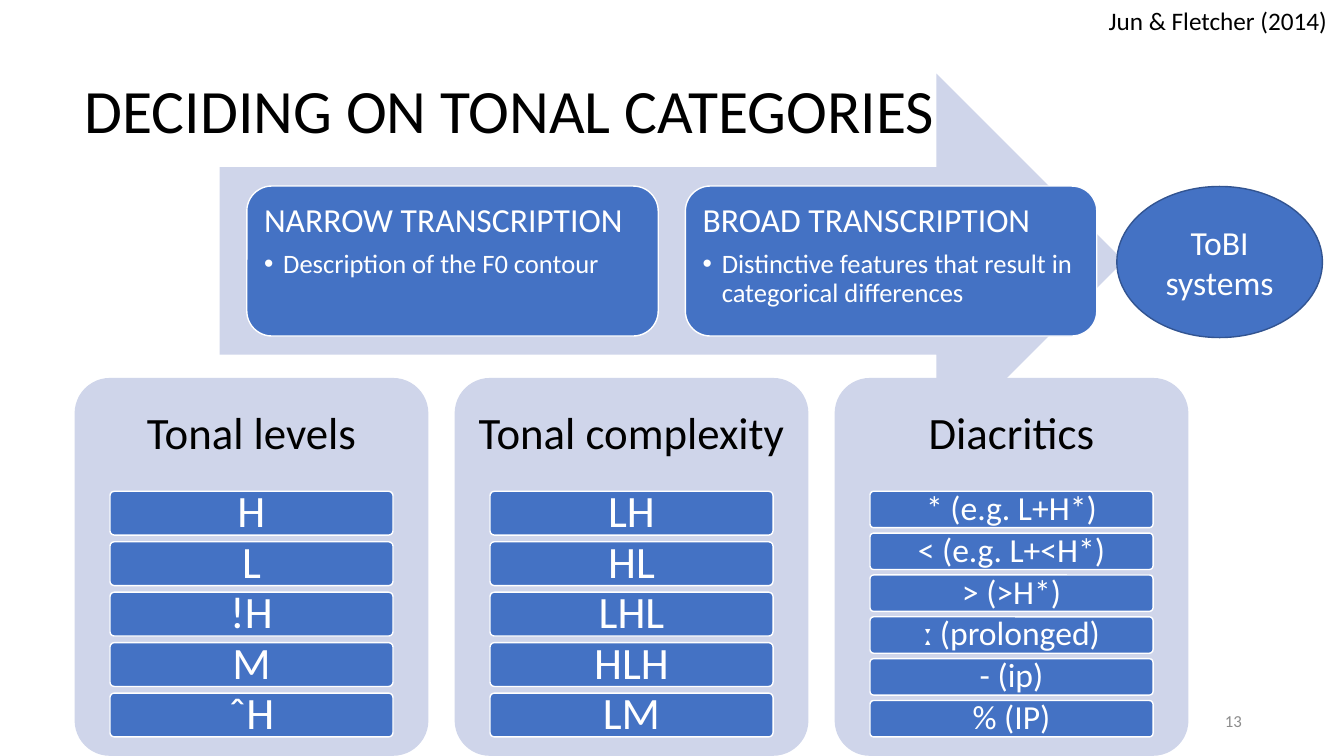
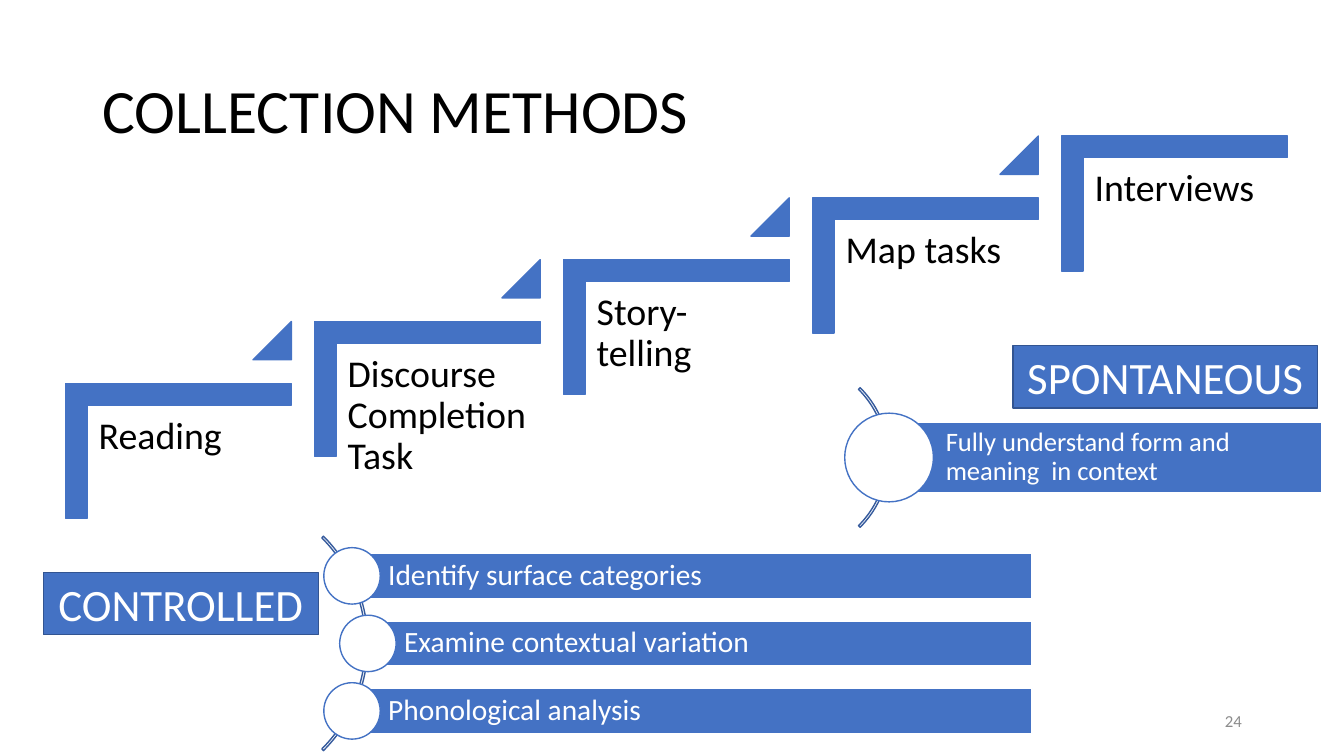
from dataclasses import dataclass
from math import sqrt

from lxml import etree
from pptx import Presentation
from pptx.dml.color import RGBColor
from pptx.enum.shapes import MSO_SHAPE
from pptx.enum.text import MSO_ANCHOR, PP_ALIGN
from pptx.oxml.ns import qn
from pptx.util import Inches, Pt

LEFT, CENTER, RIGHT = PP_ALIGN.LEFT, PP_ALIGN.CENTER, PP_ALIGN.RIGHT
TOP, MIDDLE = MSO_ANCHOR.TOP, MSO_ANCHOR.MIDDLE
RECTANGLE, ROUNDED = MSO_SHAPE.RECTANGLE, MSO_SHAPE.ROUNDED_RECTANGLE
ELLIPSE, ARROW = MSO_SHAPE.OVAL, MSO_SHAPE.RIGHT_ARROW
CORNER, TRIANGLE = MSO_SHAPE.CORNER, MSO_SHAPE.ISOSCELES_TRIANGLE
BLOCK_ARC = MSO_SHAPE.BLOCK_ARC

SLIDE_WIDTH, SLIDE_HEIGHT = Inches(13.33), Inches(7.5)
COLUMNS = 40
CELL = SLIDE_WIDTH / COLUMNS


@dataclass(frozen=True)
class Theme:
    font: str = "Calibri"
    black: str = "000000"
    white: str = "FFFFFF"
    gray: str = "8C8C8C"
    blue: str = "4472C4"
    pale: str = "CFD5EA"
    edge: str = "325491"
    arc: str = "365B9D"
    title: int = 44
    large: int = 32
    step: int = 27
    medium: int = 24
    row: int = 21
    small: int = 19
    citation: int = 18
    number: int = 12
    tight: float = 0.9


THEME = Theme()


@dataclass(frozen=True)
class Box:
    left: float
    top: float
    width: float
    height: float

    def within(self, left, top, width, height):
        return Box(self.left + left * self.width, self.top + top * self.height,
                   width * self.width, height * self.height)

    def split_columns(self, count, gap):
        width = (self.width - gap * (count - 1)) / count
        return [Box(self.left + index * (width + gap), self.top, width, self.height)
                for index in range(count)]

    def split_rows(self, count, gap_ratio):
        height = self.height / (count + gap_ratio * (count - 1))
        return [Box(self.left, self.top + index * height * (1 + gap_ratio),
                    self.width, height) for index in range(count)]

    def emu(self):
        return [round(length * CELL) for length in
                (self.left, self.top, self.width, self.height)]


def color(value):
    return RGBColor.from_string(value)


def add_bullet(para):
    properties = para._p.get_or_add_pPr()
    properties.set("marL", str(Inches(0.19)))
    properties.set("indent", str(-Inches(0.19)))
    etree.SubElement(properties, qn("a:buFont")).set("typeface", "Arial")
    etree.SubElement(properties, qn("a:buChar")).set("char", "•")


def style_para(para, size, tint, align=LEFT, spacing=1.0):
    para.alignment = align
    para.line_spacing = spacing
    para.font.name = THEME.font
    para.font.size = Pt(size)
    para.font.color.rgb = color(tint)


def write(shape, text, size, tint, align=LEFT, anchor=TOP, spacing=1.0,
          insets=(0.1, 0.05, 0.1, 0.05), wrap=True):
    frame = shape.text_frame
    frame.text = text
    frame.word_wrap = wrap
    frame.vertical_anchor = anchor
    (frame.margin_left, frame.margin_top,
     frame.margin_right, frame.margin_bottom) = map(Inches, insets)
    for para in frame.paragraphs:
        style_para(para, size, tint, align, spacing)
    return frame


def add_text(page, box, text, size, tint=THEME.black, **layout):
    return write(page.shapes.add_textbox(*box.emu()), text, size, tint, **layout)


def add_shape(page, kind, box, fill=None, line=None, adjust=()):
    shape = page.shapes.add_shape(kind, *box.emu())
    shape.shadow.inherit = False
    if fill:
        shape.fill.solid()
        shape.fill.fore_color.rgb = color(fill)
    else:
        shape.fill.background()
    if line:
        shape.line.color.rgb = color(line)
        shape.line.width = Pt(1)
    else:
        shape.line.fill.background()
    for index, value in enumerate(adjust):
        shape.adjustments[index] = value
    return shape


def add_page(deck, title, title_left, number):
    page = deck.slides.add_slide(deck.slide_layouts[6])
    add_text(page, Box(title_left, 1.2, 34.5, 4.35), title, THEME.title,
             anchor=MIDDLE, spacing=THEME.tight)
    add_text(page, Box(28.26, 20.85, 9, 1.2), number, THEME.number, THEME.gray,
             align=RIGHT, anchor=MIDDLE)
    return page


def add_label(page, kind, box, text, size):
    shape = add_shape(page, kind, box, THEME.blue, THEME.edge)
    write(shape, text, size, THEME.white, align=CENTER, anchor=MIDDLE)


def add_flow(page, box, cards):
    add_shape(page, ARROW, box, THEME.pale)
    gap = 0.03 * box.width
    row = Box(box.left + gap, box.top + 0.3 * box.height,
              box.width - 2 * gap, 0.4 * box.height)
    for place, (heading, detail) in zip(row.split_columns(len(cards), gap), cards):
        card = add_shape(page, ROUNDED, place, THEME.blue, THEME.white)
        frame = write(card, heading, THEME.medium, THEME.white,
                      spacing=THEME.tight, insets=(0.1,) * 4)
        frame.paragraphs[0].space_after = Pt(8)
        para = frame.add_paragraph()
        para.text = detail
        add_bullet(para)
        style_para(para, THEME.small, THEME.white, spacing=THEME.tight)


def add_panel(page, box, heading, entries, size):
    add_shape(page, ROUNDED, box, THEME.pale, adjust=(0.1,))
    add_text(page, box.within(0, 0, 1, 0.3), heading, THEME.large, align=CENTER,
             anchor=MIDDLE, spacing=THEME.tight, insets=(0.13,) * 4)
    rows = box.within(0.1, 0.3, 0.8, 0.65).split_rows(len(entries), 0.15)
    for place, entry in zip(rows, entries):
        pill = add_shape(page, ROUNDED, place, THEME.blue, THEME.white, (0.1,))
        write(pill, entry, size, THEME.white, align=CENTER, anchor=MIDDLE,
              spacing=THEME.tight, insets=(0.08, 0.06, 0.08, 0.06))


def add_staircase(page, box, steps):
    width, height = 6.72, 4.02
    run = (box.width - width) / (len(steps) - 1)
    rise = (box.height - height) / (len(steps) - 1)
    inset, marker = 0.66, 1.14
    for index, step in enumerate(steps):
        left = box.left + index * run
        top = box.top + box.height - height - index * rise
        turned = Box(left + (width - height) / 2, top + (height - width) / 2,
                     height, width)
        corner = add_shape(page, CORNER, turned, THEME.blue, THEME.blue, (0.16, 0.16))
        corner.rotation = 90
        add_text(page, Box(left + inset, top + inset, width - inset, 5.31), step,
                 THEME.step, spacing=THEME.tight, insets=(0.11,) * 4)
        if index < len(steps) - 1:
            place = Box(left + width - marker, top - rise, marker, marker)
            add_shape(page, TRIANGLE, place, THEME.blue, THEME.blue, (1,))


def add_radial_list(page, box, entries, size, pitch, dot):
    radius = box.height / 2
    center_x, center_y = box.left + radius, box.top + radius
    add_shape(page, BLOCK_ARC, Box(box.left, box.top, box.height, box.height),
              line=THEME.arc, adjust=(189, 27, 0.07 / box.height))
    bar = 0.8 * dot
    indent = 0.8 * bar * CELL / Inches(1)
    for index, entry in enumerate(entries):
        offset = (index - (len(entries) - 1) / 2) * pitch
        left = center_x + sqrt(radius ** 2 - offset ** 2)
        middle = center_y + offset
        place = Box(left, middle - bar / 2, box.left + box.width - left, bar)
        strip = add_shape(page, RECTANGLE, place, THEME.blue, THEME.white)
        write(strip, entry, size, THEME.white, anchor=MIDDLE, spacing=THEME.tight,
              insets=(indent, 0.05, 0.05, 0.05))
        add_shape(page, ELLIPSE, Box(left - dot / 2, middle - dot / 2, dot, dot),
                  THEME.white, THEME.blue)


def build_categories(deck):
    page = add_page(deck, "DECIDING ON TONAL CATEGORIES", 2.22, "13")
    add_flow(page, Box(6.54, 2.19, 26.91, 11.16), [
        ("NARROW TRANSCRIPTION", "Description of the F0 contour"),
        ("BROAD TRANSCRIPTION",
         "Distinctive features that result in categorical differences"),
    ])
    panels = [
        ("Tonal levels", ["H", "L", "!H", "M", "ˆH"], THEME.large),
        ("Tonal complexity", ["LH", "HL", "LHL", "HLH", "LM"], THEME.large),
        ("Diacritics", ["* (e.g. L+H*)", "< (e.g. L+<H*)", "> (>H*)",
                        "ː (prolonged)", "- (ip)", "% (IP)"], THEME.medium),
    ]
    places = Box(2.22, 11.25, 33.15, 11.25).split_columns(len(panels), 0.78)
    for place, panel in zip(places, panels):
        add_panel(page, place, *panel)
    add_label(page, ELLIPSE, Box(33.24, 5.55, 6.12, 4.5), "ToBI systems", THEME.medium)
    add_text(page, Box(32.7, 0, 7.17, 1.2), "Jun & Fletcher (2014)",
             THEME.citation, wrap=False)


def build_methods(deck):
    page = add_page(deck, "COLLECTION METHODS", 2.76, "24")
    add_staircase(page, Box(1.95, 4.05, 36.36, 11.38),
                  ["Reading", "Discourse Completion Task", "Story-telling",
                   "Map tasks", "Interviews"])
    add_label(page, RECTANGLE, Box(1.29, 17.04, 8.19, 1.86), "CONTROLLED", THEME.large)
    add_label(page, RECTANGLE, Box(30.15, 10.29, 9.06, 1.86), "SPONTANEOUS", THEME.large)
    add_radial_list(page, Box(1.92, 14.64, 28.8, 9.03),
                    ["Identify surface categories", "Examine contextual variation",
                     "Phonological analysis"], THEME.row, pitch=2.01, dot=1.68)
    add_radial_list(page, Box(20.58, 10.68, 18.75, 5.88),
                    ["Fully understand form and meaning  in context"],
                    THEME.small, pitch=0, dot=2.64)


def main():
    deck = Presentation()
    deck.slide_width, deck.slide_height = SLIDE_WIDTH, SLIDE_HEIGHT
    build_categories(deck)
    build_methods(deck)
    deck.save("out.pptx")


if __name__ == "__main__":
    main()
